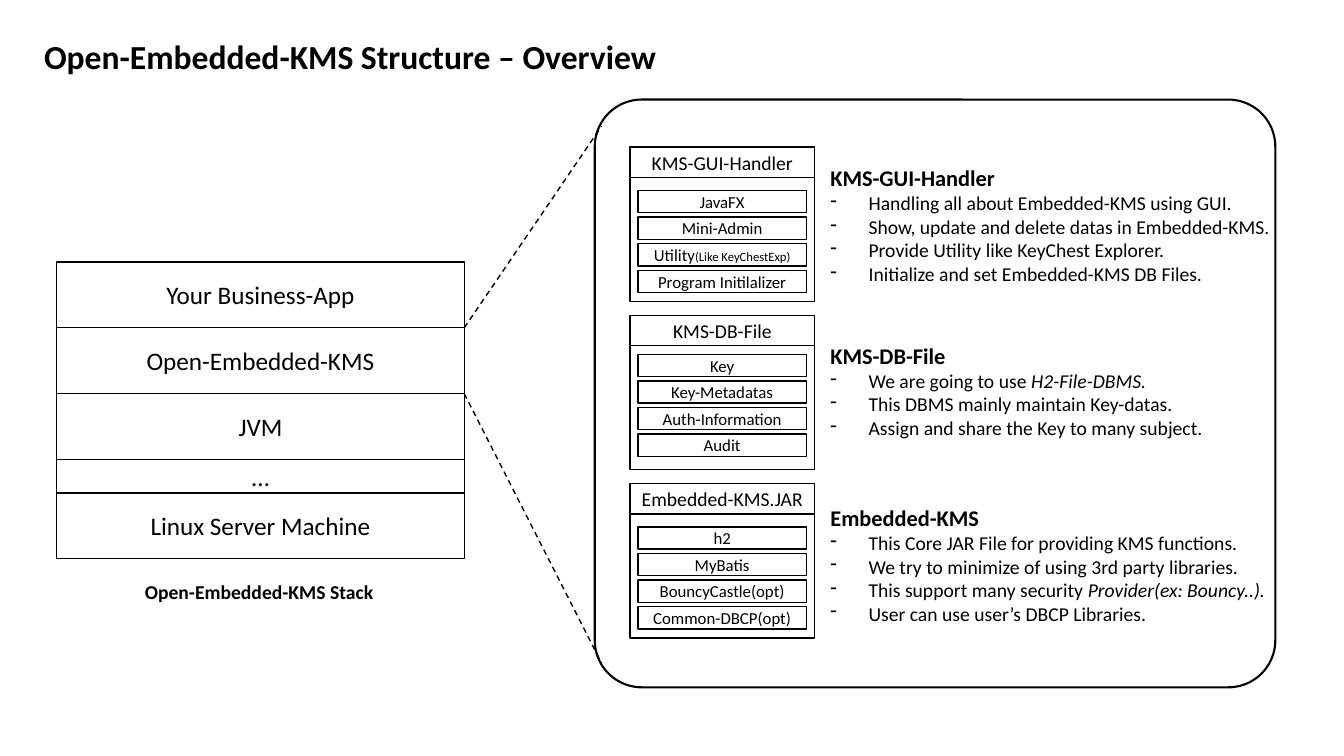
"""Builds the Open-Embedded-KMS structure overview slide."""
from itertools import accumulate

from lxml.etree import SubElement
from pptx import Presentation
from pptx.dml.color import RGBColor
from pptx.enum.dml import MSO_LINE
from pptx.enum.shapes import MSO_CONNECTOR, MSO_SHAPE
from pptx.enum.text import MSO_ANCHOR, PP_ALIGN
from pptx.oxml.ns import qn
from pptx.util import Cm, Pt


def color(code):
    """Turn a hex string into a colour."""
    return RGBColor.from_string(code)


class Sketch:
    """Holds the style and the current slide."""

    font = "Calibri"
    ink = "000000"
    paper = "FFFFFF"

    def __init__(self, slide):
        """Keep the slide to draw on."""
        self.shapes = slide.shapes

    def run(self, paragraph, words, size, bold=False, italic=False):
        """Add one run of text."""
        piece = paragraph.add_run()
        piece.text = words
        piece.font.name = self.font
        piece.font.size = Pt(size)
        piece.font.bold = bold
        piece.font.italic = italic
        piece.font.color.rgb = color(self.ink)

    def box(self, area, runs=(), filled=True, weight=1, kind=MSO_SHAPE.RECTANGLE):
        """Draw an outlined shape with centred runs of (words, size)."""
        shape = self.shapes.add_shape(kind, *map(Cm, area))
        shape.shadow.inherit = False
        if filled:
            shape.fill.solid()
            shape.fill.fore_color.rgb = color(self.paper)
        else:
            shape.fill.background()
        shape.line.color.rgb = color(self.ink)
        shape.line.width = Pt(weight)
        shape.text_frame.vertical_anchor = MSO_ANCHOR.MIDDLE
        paragraph = shape.text_frame.paragraphs[0]
        paragraph.alignment = PP_ALIGN.CENTER
        for words, size in runs:
            self.run(paragraph, words, size)
        return shape

    def label(self, area, words, size):
        """Write one bold line."""
        frame = self.shapes.add_textbox(*map(Cm, area)).text_frame
        frame.word_wrap = False
        self.run(frame.paragraphs[0], words, size, bold=True)

    def dashed(self, *ends):
        """Draw a dashed line."""
        line = self.shapes.add_connector(MSO_CONNECTOR.STRAIGHT, *map(Cm, ends))
        line.line.color.rgb = color(self.ink)
        line.line.width = Pt(1)
        line.line.dash_style = MSO_LINE.DASH
        SubElement(line._element.spPr, qn("a:effectLst"))

    def notes(self, area, heading, points):
        """Write a heading and dashed points of (plain, italic) text."""
        frame = self.shapes.add_textbox(*map(Cm, area)).text_frame
        frame.word_wrap = True
        frame.paragraphs[0].line_spacing = 1.5
        self.run(frame.paragraphs[0], heading, 16, bold=True)
        for plain, *slanted in points:
            paragraph = frame.add_paragraph()
            props = paragraph._p.get_or_add_pPr()
            props.set("marL", str(Cm(0.96)))
            props.set("indent", str(-Cm(0.96)))
            SubElement(props, qn("a:buFontTx"))
            SubElement(props, qn("a:buChar"), char="-")
            self.run(paragraph, plain, 14)
            for words in slanted:
                self.run(paragraph, words, 14, italic=True)

    def module(self, top, title, parts, offset):
        """Draw a titled module with its parts stacked inside."""
        self.box((15.88, top, 4.65, 0.76), [(title, 14)])
        self.box((15.88, top, 4.65, 3.89), filled=False)
        for row, (name, *remark) in enumerate(parts):
            runs = [(name, 12)] + [(words, 9) for words in remark]
            self.box((16.08, top + offset + row * 0.67, 4.24, 0.56), runs)


STACK = [
    ("Your Business-App", 1.66),
    ("Open-Embedded-KMS", 1.66),
    ("JVM", 1.66),
    ("…", 0.84),
    ("Linux Server Machine", 1.66),
]
MODULES = [
    ("KMS-GUI-Handler", 1.09,
     [("JavaFX",), ("Mini-Admin",), ("Utility", "(Like KeyChestExp)"),
      ("Program Initilalizer",)]),
    ("KMS-DB-File", 0.98,
     [("Key",), ("Key-Metadatas",), ("Auth-Information",), ("Audit",)]),
    ("Embedded-KMS.JAR", 1.09,
     [("h2",), ("MyBatis",), ("BouncyCastle(opt)",), ("Common-DBCP(opt)",)]),
]
NOTES = [
    (3.68, 3.68, "KMS-GUI-Handler",
     [("Handling all about Embedded-KMS using GUI.",),
      ("Show, update and delete datas in Embedded-KMS.",),
      ("Provide Utility like KeyChest Explorer.",),
      ("Initialize and set Embedded-KMS DB Files.",)]),
    (8.15, 3.07, "KMS-DB-File",
     [("We are going to use ", "H2-File-DBMS."),
      ("This DBMS mainly maintain Key-datas.",),
      ("Assign and share the Key to many subject.",)]),
    (12.24, 3.68, "Embedded-KMS",
     [("This Core JAR File for providing KMS functions.",),
      ("We try to minimize of using 3rd party libraries.",),
      ("This support many security ", "Provider(ex: Bouncy..)."),
      ("User can use user’s DBCP Libraries.",)]),
]


def main():
    """Draw the slide and save it."""
    deck = Presentation()
    deck.slide_width, deck.slide_height = Cm(33.87), Cm(19.05)
    sketch = Sketch(deck.slides.add_slide(deck.slide_layouts[6]))

    sketch.label((0.86, 0.79, 16.1, 1.28), "Open-Embedded-KMS Structure – Overview", 24)

    tops = list(accumulate((height for _, height in STACK), initial=6.6))
    for top, (layer, height) in zip(tops, STACK):
        sketch.box((1.42, top, 10.29, height), [(layer, 18)])
    sketch.label((3.4, 14.48, 6.3, 0.85), "Open-Embedded-KMS Stack", 14)

    sketch.dashed(11.7, tops[1], 15.16, 3.18)
    sketch.dashed(11.7, tops[2], 15.16, 16.71)
    panel = sketch.box((14.99, 2.51, 17.15, 14.81), filled=False, weight=1.5,
                       kind=MSO_SHAPE.ROUNDED_RECTANGLE)
    panel.adjustments[0] = 0.08

    for index, (title, offset, parts) in enumerate(MODULES):
        sketch.module(3.71 + index * 4.24, title, parts, offset)
    for top, height, heading, points in NOTES:
        sketch.notes((20.68, top, 13.1, height), heading, points)

    deck.save("out.pptx")


if __name__ == "__main__":
    main()
